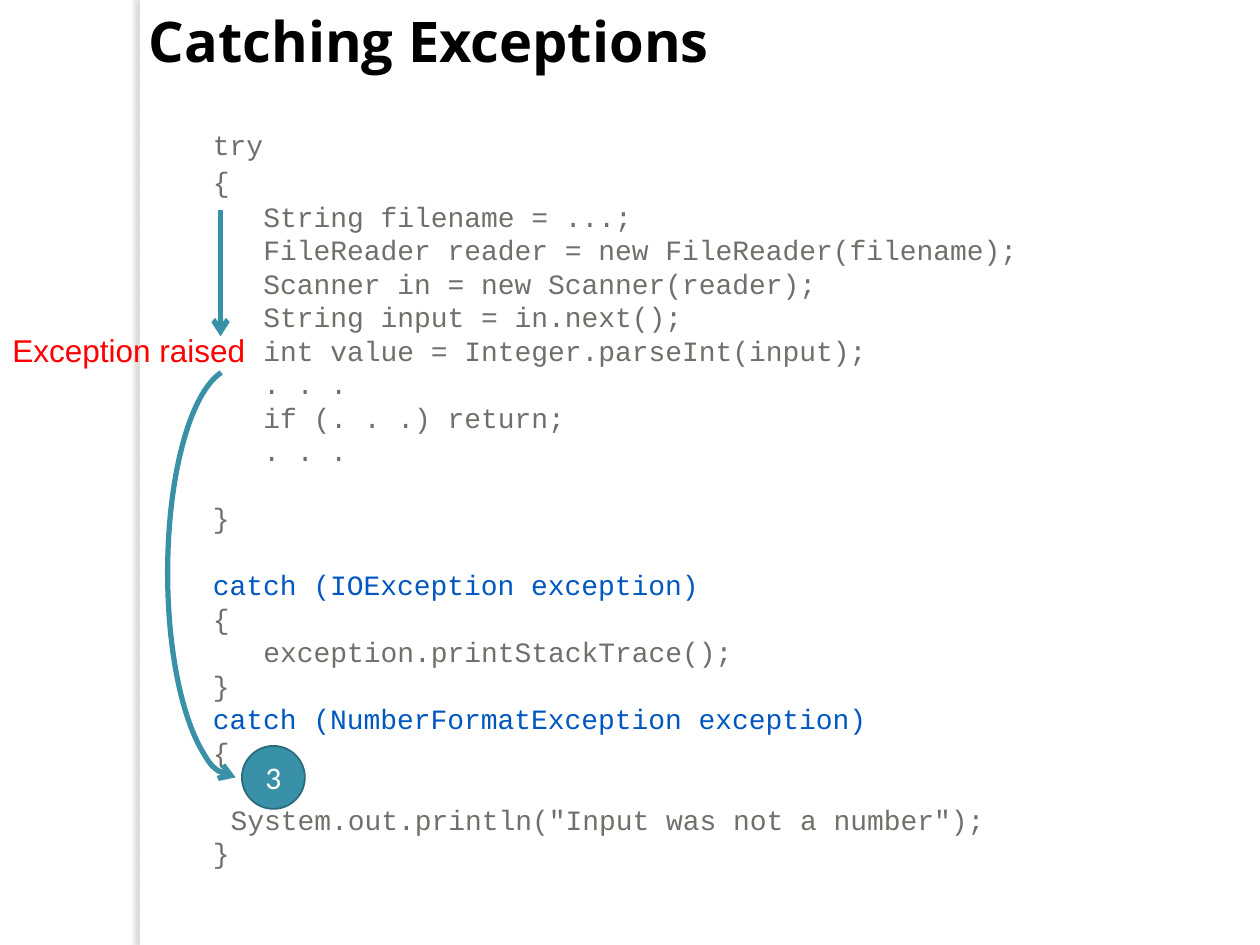
from lxml.etree import SubElement
from pptx import Presentation
from pptx.dml.color import RGBColor
from pptx.enum.shapes import MSO_CONNECTOR, MSO_SHAPE
from pptx.enum.text import MSO_ANCHOR, MSO_AUTO_SIZE, PP_ALIGN
from pptx.oxml.ns import qn
from pptx.util import Inches, Pt

COLORS = {
    "white": "FFFFFF", "black": "000000", "code": "6E7069", "catch": "0057C1",
    "alert": "FF0000", "teal": "3891A7", "teal_dark": "296B7C", "shadow": "736F63",
}
LINE_PITCH = 19.15
CODE_LEFT = 0.26
INDENT = 0.4

# text, left margin in inches, space before in points
CODE = [
    ("try", CODE_LEFT, 6),
    ("{", CODE_LEFT, 2),
    ("String filename = ...;", CODE_LEFT + INDENT, 1),
    ("FileReader reader = new FileReader(filename);", CODE_LEFT + INDENT, 0),
    ("Scanner in = new Scanner(reader);", CODE_LEFT + INDENT, 0),
    ("String input = in.next();", CODE_LEFT + INDENT, 0),
    ("int value = Integer.parseInt(input);", CODE_LEFT + INDENT, 0),
    (". . .", CODE_LEFT + INDENT, 0),
    ("if (. . .) return;", CODE_LEFT + INDENT, 0),
    (". . .", CODE_LEFT + INDENT, 0),
    ("}", CODE_LEFT, LINE_PITCH),
    ("catch (IOException exception)", CODE_LEFT, LINE_PITCH),
    ("{", CODE_LEFT, 0),
    ("exception.printStackTrace();", CODE_LEFT + INDENT, 0),
    ("}", CODE_LEFT, 0),
    ("catch (NumberFormatException exception)", CODE_LEFT, 0),
    ("{", CODE_LEFT, 0),
    ('System.out.println("Input was not a number");', INDENT, LINE_PITCH),
    ("}", CODE_LEFT, 0),
]


def rgb(name):
    return RGBColor.from_string(COLORS[name])


def place(sp, left, top, width, height):
    sp.left, sp.top = Inches(left), Inches(top)
    sp.width, sp.height = Inches(width), Inches(height)


def format_text(p, font, size, color, bold=False):
    for r in p.runs:
        r.font.name, r.font.size, r.font.bold = font, Pt(size), bold
        r.font.color.rgb = rgb(color)


def add_title(s, text):
    sp = s.shapes.title
    place(sp, 1.08, 0, 7.67, 0.64)
    tf = sp.text_frame
    tf.text = text
    tf.auto_size = MSO_AUTO_SIZE.NONE
    tf.vertical_anchor = MSO_ANCHOR.MIDDLE
    tf.paragraphs[0].alignment = PP_ALIGN.LEFT
    format_text(tf.paragraphs[0], "Open Sans", 32, "black", True)


def add_code(s):
    sp = s.placeholders[1]
    place(sp, 1.33, 0.91, 7.83, 6.09)
    tf = sp.text_frame
    tf.text = "\n".join(text for text, _, _ in CODE)
    tf.auto_size = MSO_AUTO_SIZE.NONE
    tf.vertical_anchor = MSO_ANCHOR.MIDDLE
    for p, (text, margin, before) in zip(tf.paragraphs, CODE):
        p.line_spacing, p.space_before = Pt(LINE_PITCH), Pt(before)
        pPr = p._p.get_or_add_pPr()
        pPr.set("marL", str(Inches(margin)))
        pPr.set("indent", "0")
        SubElement(pPr, qn("a:buNone"))
        format_text(p, "Courier New", 16, "catch" if text.startswith("catch") else "code")


def add_edge(s):
    """Add the white strip whose shadow falls to the left."""
    sp = s.shapes.add_shape(MSO_SHAPE.RECTANGLE, Inches(1.11), 0, Inches(0.08), Inches(7.5))
    sp.fill.solid()
    sp.fill.fore_color.rgb = rgb("white")
    sp.line.fill.background()
    effects = SubElement(sp._element.spPr, qn("a:effectLst"))
    shadow = SubElement(effects, qn("a:outerShdw"), blurRad=str(Pt(3)), dist=str(Pt(3)),
                        dir="10800000", algn="tl", rotWithShape="0")
    color = SubElement(shadow, qn("a:srgbClr"), val=COLORS["shadow"])
    SubElement(color, qn("a:alpha"), val="25000")
    # Send the strip behind the placeholders
    s.shapes._spTree.insert(2, sp._element)


def style_arrow(sp, end):
    sp.line.color.rgb = rgb("teal")
    sp.line.width = Pt(3)
    SubElement(sp.line._get_or_add_ln(), qn(f"a:{end}"), type="arrow")


def add_straight_arrow(s):
    line = s.shapes.add_connector(MSO_CONNECTOR.STRAIGHT, Inches(1.75), Inches(1.67),
                                  Inches(1.75), Inches(2.67))
    style_arrow(line, "tailEnd")
    SubElement(line._element.spPr, qn("a:effectLst"))


def add_curved_arrow(s):
    arc = s.shapes.add_shape(MSO_SHAPE.ARC, Inches(1.33), Inches(2.92), Inches(1.08), Inches(3.25))
    arc.adjustments[0], arc.adjustments[1] = 162, 51.54
    arc.rotation = 180
    arc.fill.background()
    style_arrow(arc, "headEnd")
    arc.shadow.inherit = False


def add_step(s, number):
    sp = s.shapes.add_shape(MSO_SHAPE.OVAL, Inches(1.92), Inches(5.92), Inches(0.5), Inches(0.5))
    sp.fill.solid()
    sp.fill.fore_color.rgb = rgb("teal")
    sp.line.color.rgb = rgb("teal_dark")
    sp.line.width = Pt(1)
    sp.shadow.inherit = False
    tf = sp.text_frame
    tf.text = number
    tf.vertical_anchor = MSO_ANCHOR.MIDDLE
    tf.paragraphs[0].alignment = PP_ALIGN.CENTER
    format_text(tf.paragraphs[0], "Calibri", 18, "white")


def add_label(s, text):
    tf = s.shapes.add_textbox(0, Inches(2.58), Inches(2.07), Inches(0.4)).text_frame
    tf.text = text
    tf.word_wrap = False
    format_text(tf.paragraphs[0], "Arial", 18, "alert")


def main():
    prs = Presentation()
    prs.slide_width, prs.slide_height = Inches(10), Inches(7.5)
    s = prs.slides.add_slide(prs.slide_layouts[1])
    add_edge(s)
    add_title(s, "Catching Exceptions")
    add_code(s)
    add_step(s, "3")
    add_straight_arrow(s)
    add_label(s, "Exception raised")
    add_curved_arrow(s)
    prs.save("out.pptx")


if __name__ == "__main__":
    main()
